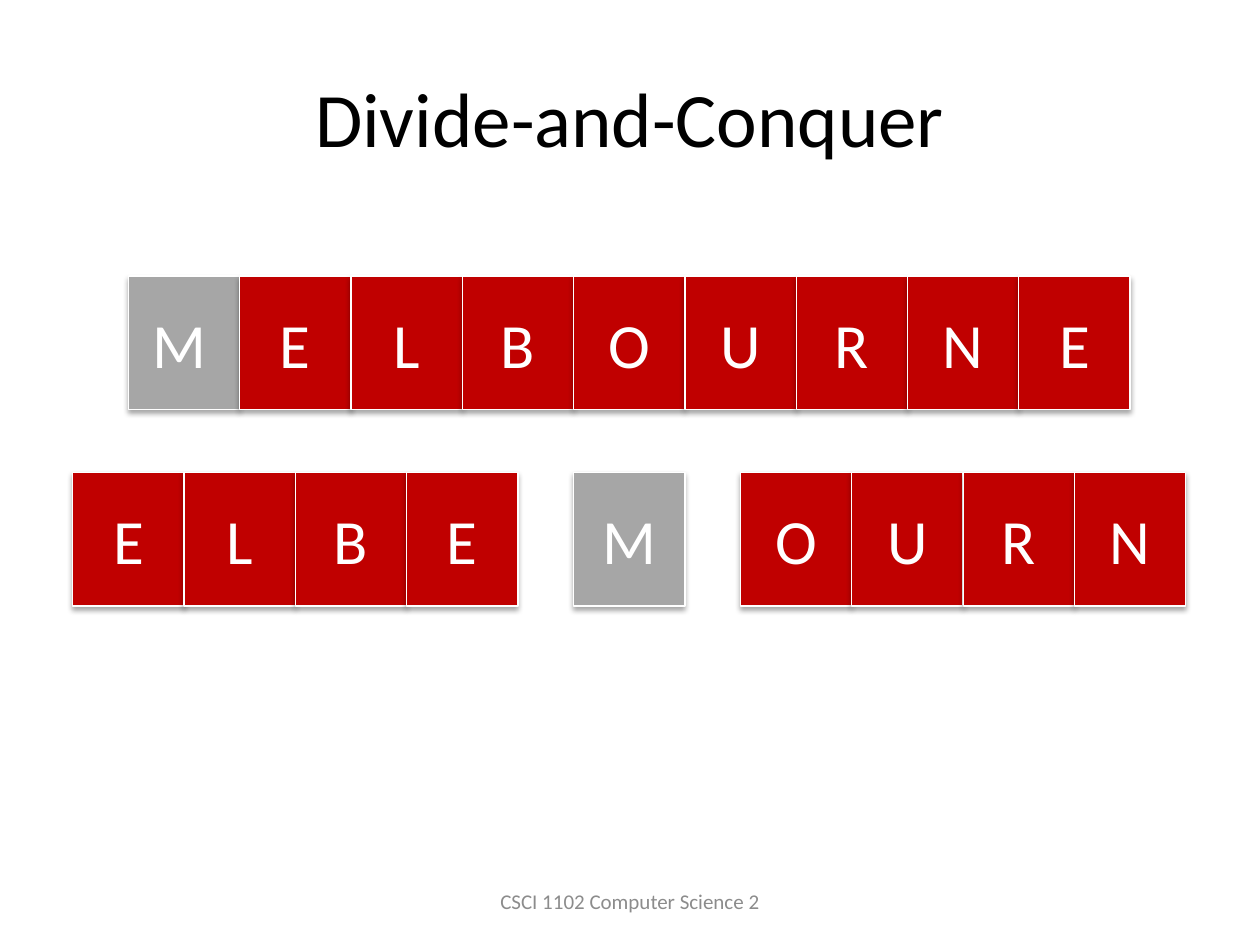
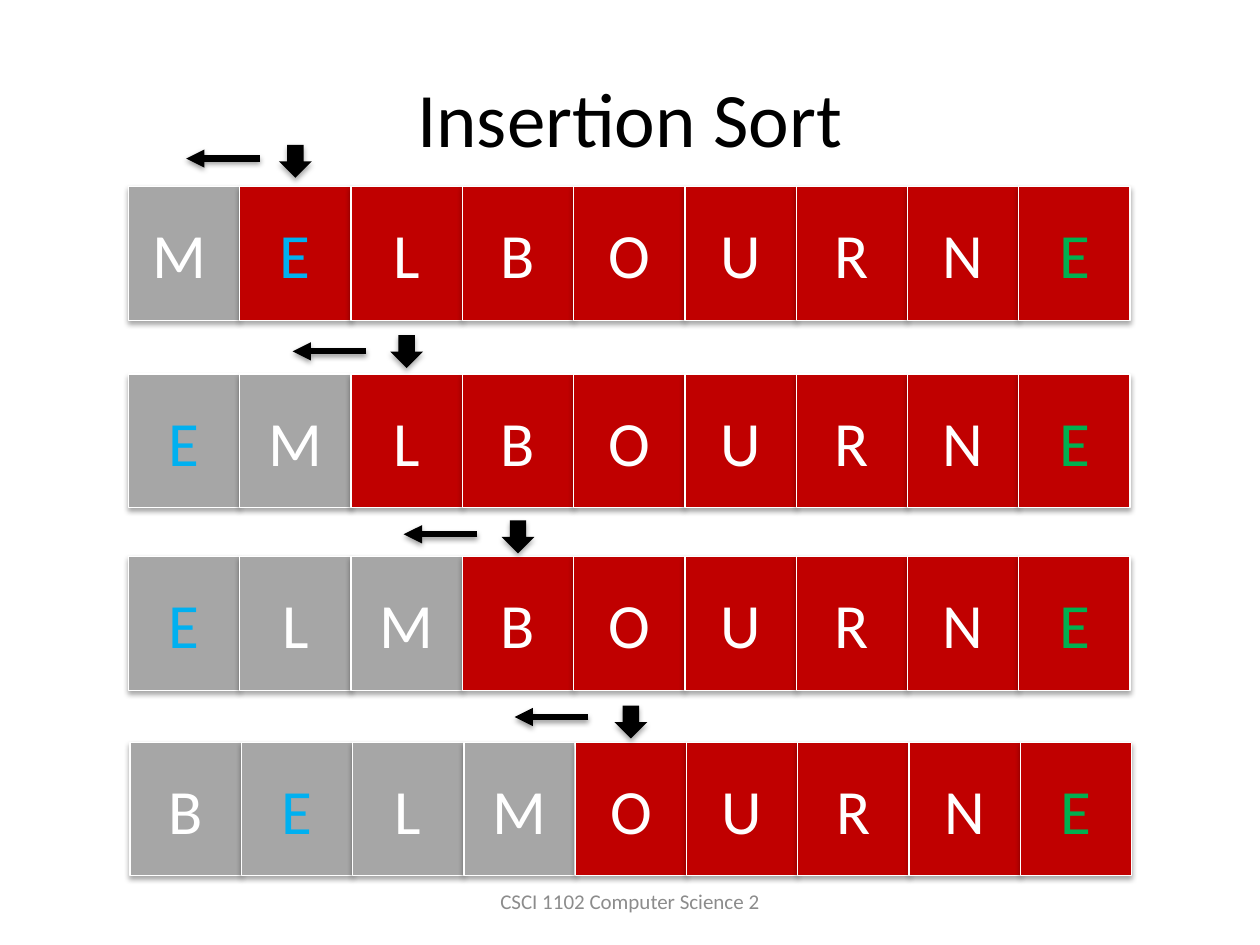
from lxml import etree
from pptx import Presentation
from pptx.dml.color import RGBColor
from pptx.enum import shapes, text
from pptx.oxml import ns
from pptx.util import Pt

rgb = RGBColor.from_string
RED, GREY, WHITE, BLACK = "C00000", "A6A6A6", "FFFFFF", "000000"
BLUE, GREEN, FOOTER_GREY = "00B0F0", "00B050", "8C8C8C"
FONT = "Calibri"
LEFT, TILE_W, TILE_H = 73.4, 63.6, 76.4
DOWN_SIZE, BACK_LENGTH = 18.8, 42


def write(sp, content, size, color):
    """Put one centred line of text in the middle of a shape."""
    tf = sp.text_frame
    tf.word_wrap = True
    tf.vertical_anchor = text.MSO_ANCHOR.MIDDLE
    p = tf.paragraphs[0]
    p.alignment = text.PP_ALIGN.CENTER
    r = p.add_run()
    r.text = content
    for name, value in {"name": FONT, "size": Pt(size)}.items():
        setattr(r.font, name, value)
    r.font.color.rgb = rgb(color)


def add_shadow(sp, distance=1.8, alpha=35):
    effects = etree.SubElement(sp._element.spPr, ns.qn("a:effectLst"))
    shadow = etree.SubElement(
        effects, ns.qn("a:outerShdw"), blurRad=str(Pt(3.1)),
        dist=str(Pt(distance)), dir="5400000", rotWithShape="0")
    color = etree.SubElement(shadow, ns.qn("a:srgbClr"), val=BLACK)
    etree.SubElement(color, ns.qn("a:alpha"), val=str(alpha * 1000))


word = ["M\t", *"ELBOURNE"]

# Rows of tiles: left, top, letters, number of grey tiles
divide_rows = [
    (LEFT + 5.5 * TILE_W, 270, "OURN", 0),
    (LEFT, 157.7, word, 1),
    (LEFT - 0.5 * TILE_W, 270, "ELBE", 0),
    (LEFT + 4 * TILE_W, 270, "M", 1),
]
sort_rows = [
    (LEFT, 106.6, word, 1),
    (LEFT, 213.8, "EMLBOURNE", 2),
    (LEFT, 318.2, "ELMBOURNE", 3),
    (LEFT + 0.9, 424.1, "BELMOURNE", 4),
]
# Arrows above each sorting row: top of the down arrow, start of the back arrow
sort_arrows = [
    (82.8, 148.4, 90.6),
    (191.5, 209.2, 200.8),
    (297.4, 272.7, 305.3),
    (403.2, 336.1, 409.7),
]

prs = Presentation()
prs.slide_width, prs.slide_height = Pt(720), Pt(540)

for title, rows, arrows in [
    ("Divide-and-Conquer", divide_rows, []),
    ("Insertion Sort", sort_rows, sort_arrows),
]:
    s = prs.slides.add_slide(prs.slide_layouts[6])
    for content, box, size, color in [
        ("CSCI 1102 Computer Science 2", (246, 500.5, 228, 28.75), 12, FOOTER_GREY),
        (title, (36, 21.6, 648, 90), 44, BLACK),
    ]:
        write(s.shapes.add_textbox(*map(Pt, box)), content, size, color)

    for left, top, letters, grey_count in rows:
        for i, letter in enumerate(letters):
            sp = s.shapes.add_shape(
                shapes.MSO_SHAPE.RECTANGLE, Pt(left + i * TILE_W), Pt(top),
                Pt(TILE_W), Pt(TILE_H))
            sp.fill.solid()
            sp.fill.fore_color.rgb = rgb(GREY if i < grey_count else RED)
            sp.line.color.rgb = rgb(WHITE)
            sp.line.width = Pt(0.75)
            add_shadow(sp)
            color = WHITE
            if arrows and letter == "E":  # tell the two equal letters apart
                color = GREEN if i == len(letters) - 1 else BLUE
            write(sp, letter, 36, color)

    for (left, _, _, grey_count), (down_top, back_x, back_y) in zip(rows, arrows):
        center = left + (grey_count + 0.5) * TILE_W
        sp = s.shapes.add_shape(
            shapes.MSO_SHAPE.DOWN_ARROW, Pt(center - DOWN_SIZE / 2), Pt(down_top),
            Pt(DOWN_SIZE), Pt(DOWN_SIZE))
        sp.fill.solid()
        sp.fill.fore_color.rgb = rgb(BLACK)
        sp.line.fill.background()
        add_shadow(sp)

        back = s.shapes.add_connector(
            shapes.MSO_CONNECTOR.STRAIGHT, Pt(back_x), Pt(back_y),
            Pt(back_x - BACK_LENGTH), Pt(back_y))
        back.line.color.rgb = rgb(BLACK)
        back.line.width = Pt(3.5)
        etree.SubElement(back.line._get_or_add_ln(), ns.qn("a:tailEnd"), type="triangle")
        add_shadow(back, distance=1.6, alpha=38)

prs.save("out.pptx")
